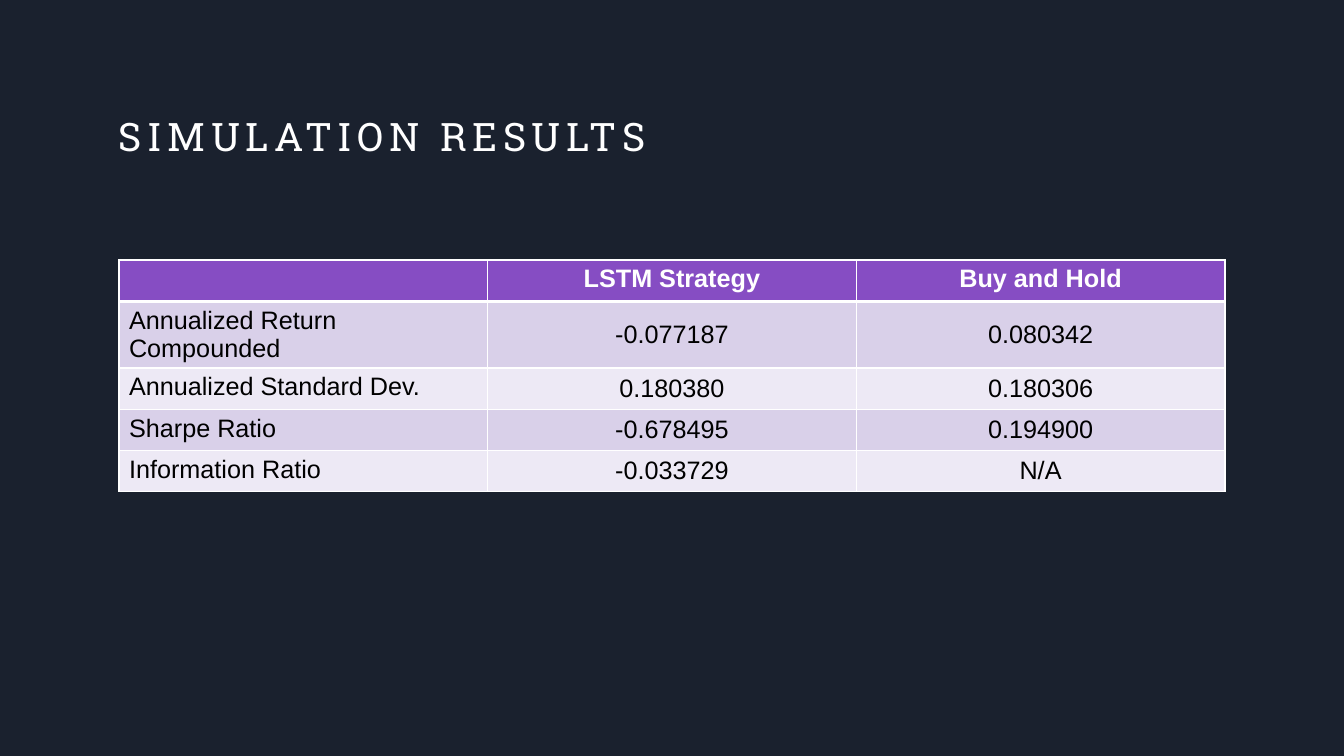
from dataclasses import dataclass

from lxml.etree import SubElement
from pptx import Presentation
from pptx.dml.color import RGBColor
from pptx.enum.text import MSO_ANCHOR as Anchor, PP_ALIGN as Align
from pptx.oxml.ns import qn
from pptx.slide import Slide
from pptx.table import _Cell as Cell
from pptx.util import Inches, Pt

COLORS = {
    "background": "1A212E",
    "white": "FFFFFF",
    "black": "000000",
    "header": "864DC3",
    "odd_row": "D9D0E9",
    "even_row": "EDE9F5",
}
LEFT, WIDTH = 1.18, 10.97
ROW_HEIGHT = 0.41
HEADINGS = ("", "LSTM Strategy", "Buy and Hold")


@dataclass(frozen=True)
class Metric:
    name: str
    lstm: str
    hold: str


METRICS = [
    Metric("Annualized Return Compounded", "-0.077187", "0.080342"),
    Metric("Annualized Standard Dev.", "0.180380", "0.180306"),
    Metric("Sharpe Ratio", "-0.678495", "0.194900"),
    Metric("Information Ratio", "-0.033729", "N/A"),
]


def color(name: str) -> RGBColor:
    return RGBColor.from_string(COLORS[name])


def set_borders(cell: Cell, top: float = 1, bottom: float = 1) -> None:
    """Draw white borders, with widths in points; call before filling the cell."""
    properties = cell._tc.get_or_add_tcPr()
    for side, width in (("L", 1), ("R", 1), ("T", top), ("B", bottom)):
        line = SubElement(properties, qn(f"a:ln{side}"), w=str(Pt(width)))
        fill = SubElement(line, qn("a:solidFill"))
        SubElement(fill, qn("a:srgbClr"), val=COLORS["white"])


def fill_cell(cell: Cell, text: str, fill: str, ink: str, bold: bool,
              align: Align, anchor: Anchor) -> None:
    cell.fill.solid()
    cell.fill.fore_color.rgb = color(fill)
    cell.vertical_anchor = anchor
    para = cell.text_frame.paragraphs[0]
    para.alignment = align
    if text:
        span = para.add_run()
        span.text = text
        span.font.name = "Arial"
        span.font.size = Pt(18)
        span.font.bold = bold
        span.font.color.rgb = color(ink)


def add_title(page: Slide, text: str) -> None:
    box = page.shapes.title
    box.left, box.top = Inches(LEFT), Inches(1.11)
    box.width, box.height = Inches(WIDTH), Inches(0.72)
    frame = box.text_frame
    frame.margin_left = frame.margin_right = 0
    frame.margin_top = frame.margin_bottom = 0
    frame.vertical_anchor = Anchor.TOP
    frame.word_wrap = True
    para = frame.paragraphs[0]
    para.alignment = Align.LEFT
    span = para.add_run()
    span.text = text
    span.font.name = "Roboto Slab"
    span.font.size = Pt(28)
    span.font.color.rgb = color("white")
    span.font._element.set("spc", "400")


def add_results(page: Slide) -> None:
    row_count = len(METRICS) + 1
    table = page.shapes.add_table(
        row_count, len(HEADINGS), Inches(LEFT), Inches(2.58),
        Inches(WIDTH), Inches(ROW_HEIGHT * row_count)).table
    for column, heading in enumerate(HEADINGS):
        cell = table.cell(0, column)
        set_borders(cell, bottom=3)
        fill_cell(cell, heading, "header", "white", True, Align.CENTER, Anchor.TOP)
    for row, metric in enumerate(METRICS, start=1):
        fill = "odd_row" if row % 2 else "even_row"
        for column, text in enumerate((metric.name, metric.lstm, metric.hold)):
            cell = table.cell(row, column)
            align, anchor = ((Align.CENTER, Anchor.MIDDLE) if column
                             else (Align.LEFT, Anchor.TOP))
            set_borders(cell, top=3 if row == 1 else 1)
            fill_cell(cell, text, fill, "black", False, align, anchor)


def main() -> None:
    deck = Presentation()
    deck.slide_width, deck.slide_height = Inches(13.33), Inches(7.5)
    page = deck.slides.add_slide(deck.slide_layouts.get_by_name("Title Only"))
    page.background.fill.solid()
    page.background.fill.fore_color.rgb = color("background")
    add_title(page, "SIMULATION RESULTS")
    add_results(page)
    deck.save("out.pptx")


if __name__ == "__main__":
    main()
